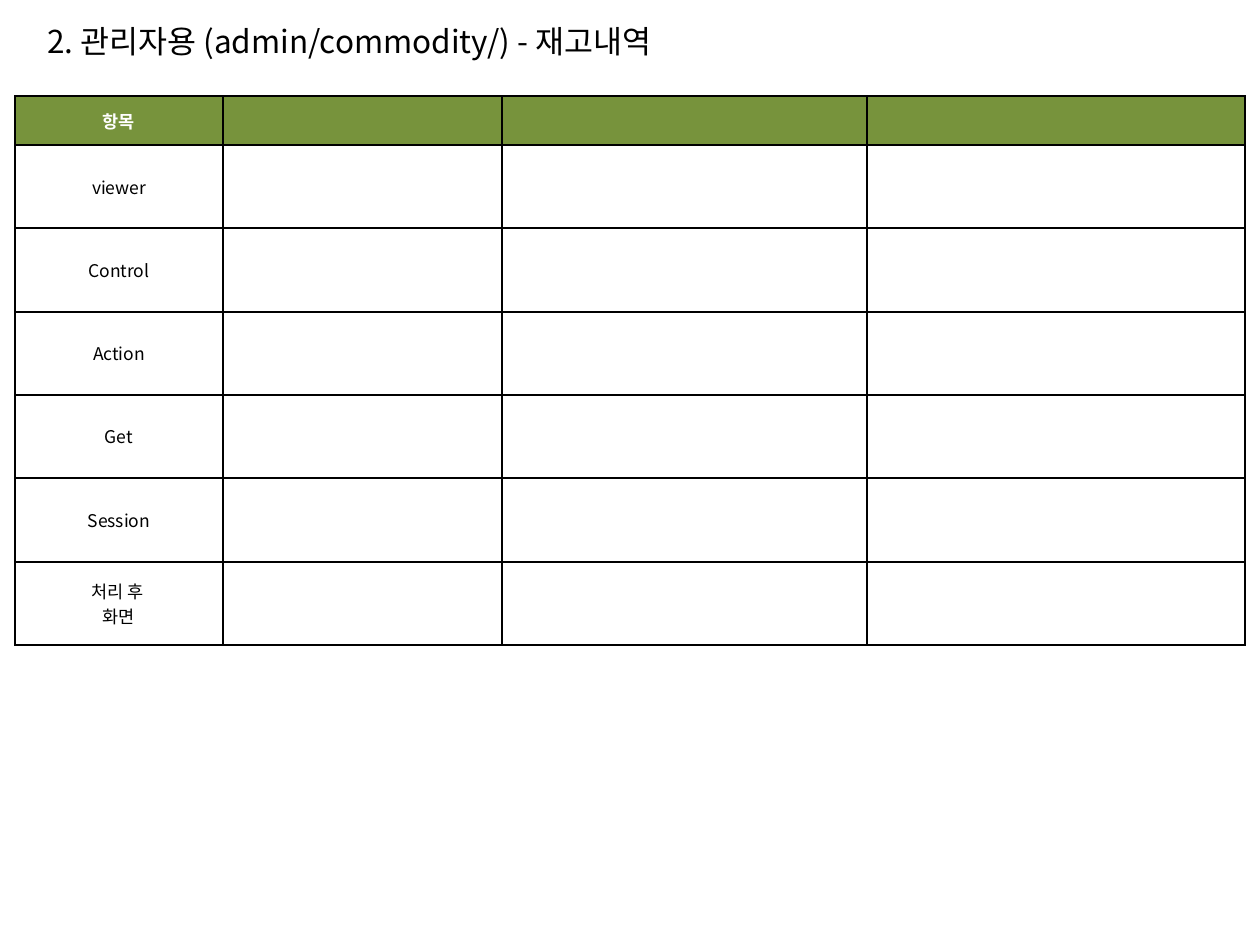
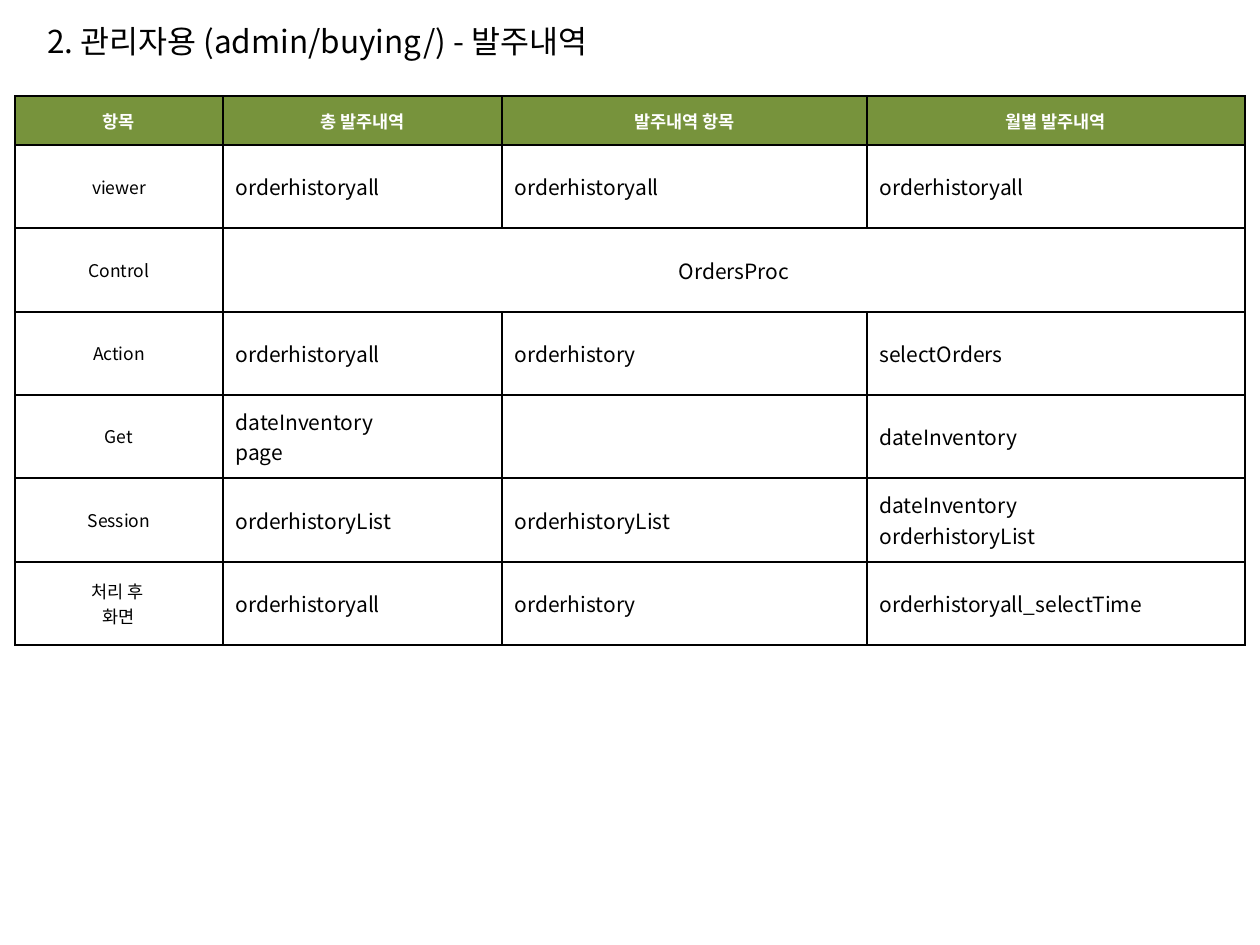
import pptx
import pptx.util
import pptx.dml.color
import pptx.enum.text
import pptx.oxml.ns
from itertools import pairwise
from lxml import etree

SCALE = 914400 // 126  # EMU in one pixel
FONT = "Noto Sans CJK KR"
BLACK = pptx.dml.color.RGBColor(0x00, 0x00, 0x00)
WHITE = pptx.dml.color.RGBColor(0xFF, 0xFF, 0xFF)
GREEN = pptx.dml.color.RGBColor(0x77, 0x93, 0x3C)
CENTER = pptx.enum.text.PP_ALIGN.CENTER
LEFT = pptx.enum.text.PP_ALIGN.LEFT

# Table grid: the six body rows share 500 pixels
COLUMN_EDGES = [15, 223, 502, 867, 1245]
ROW_EDGES = [96] + [145 + round(500 * row / 6) for row in range(7)]
ROW_LABELS = ["항목", "viewer", "Control", "Action", "Get", "Session", "처리 후 \n화면"]

STOCK_ROWS = [["", "", ""] for label in ROW_LABELS]
# A row with a single entry spans all three columns
ORDER_ROWS = [
    ["총 발주내역", "발주내역 항목", "월별 발주내역"],
    ["orderhistoryall", "orderhistoryall", "orderhistoryall"],
    ["OrdersProc"],
    ["orderhistoryall", "orderhistory", "selectOrders"],
    ["dateInventory\npage", "", "dateInventory"],
    ["orderhistoryList", "orderhistoryList", "dateInventory\norderhistoryList"],
    ["orderhistoryall", "orderhistory", "orderhistoryall_selectTime"],
]


def px(length):
    return pptx.util.Emu(length * SCALE)


def add_element(parent, tag, **attributes):
    return etree.SubElement(parent, pptx.oxml.ns.qn(tag), **attributes)


def write(frame, text, size, color, bold=False, align=LEFT):
    frame.text = text
    for para in frame.paragraphs:
        para.alignment = align
        for span in para.runs:
            span.font.size = pptx.util.Pt(size)
            span.font.bold = bold
            span.font.color.rgb = color
            span.font.name = FONT
            add_element(span.font._element, "a:ea", typeface=FONT)
        if not para.runs:  # keeps an empty cell from growing its row
            add_element(para._p, "a:endParaRPr", sz=str(size * 100))


def add_title(page, text):
    box = page.shapes.add_textbox(px(35), px(16), px(1150), px(51))
    box.text_frame.word_wrap = True
    box.text_frame.auto_size = pptx.enum.text.MSO_AUTO_SIZE.SHAPE_TO_FIT_TEXT
    write(box.text_frame, text, 18, BLACK)


def add_borders(cell):
    properties = cell._tc.get_or_add_tcPr()
    for side in ("a:lnL", "a:lnR", "a:lnT", "a:lnB"):
        line = add_element(properties, side, w=str(pptx.util.Pt(1)))
        add_element(add_element(line, "a:solidFill"), "a:srgbClr", val=str(BLACK))


def style_cell(cell, is_header):
    cell.vertical_anchor = pptx.enum.text.MSO_ANCHOR.MIDDLE
    add_borders(cell)
    if is_header:
        cell.fill.solid()
        cell.fill.fore_color.rgb = GREEN
    else:
        cell.fill.background()


def add_grid(page, rows):
    left, top = COLUMN_EDGES[0], ROW_EDGES[0]
    table = page.shapes.add_table(
        len(ROW_LABELS), len(COLUMN_EDGES) - 1, px(left), px(top),
        px(COLUMN_EDGES[-1] - left), px(ROW_EDGES[-1] - top)).table
    table.first_row = table.horz_banding = False
    for column, (start, end) in zip(table.columns, pairwise(COLUMN_EDGES)):
        column.width = px(end - start)
    for row, (start, end) in zip(table.rows, pairwise(ROW_EDGES)):
        row.height = px(end - start)

    for row_number, (label, entries) in enumerate(zip(ROW_LABELS, rows)):
        is_header = row_number == 0
        cells = list(table.rows[row_number].cells)
        for cell in cells:
            style_cell(cell, is_header)
        is_merged = len(entries) == 1
        if is_merged:
            cells[1].merge(cells[-1])
        for column_number, (cell, text) in enumerate(zip(cells, [label] + entries)):
            is_label = is_header or column_number == 0
            write(cell.text_frame, text, 10 if is_label else 12,
                  WHITE if is_header else BLACK, bold=is_header,
                  align=CENTER if is_label or is_merged else LEFT)


def add_page(deck, title, rows):
    page = deck.slides.add_slide(deck.slide_layouts[6])
    add_title(page, title)
    add_grid(page, rows)


def main():
    deck = pptx.Presentation()
    deck.slide_width, deck.slide_height = px(1260), px(945)
    add_page(deck, "2. 관리자용 (admin/commodity/) - 재고내역", STOCK_ROWS)
    add_page(deck, "2. 관리자용 (admin/buying/) - 발주내역", ORDER_ROWS)
    deck.save("out.pptx")


main()
